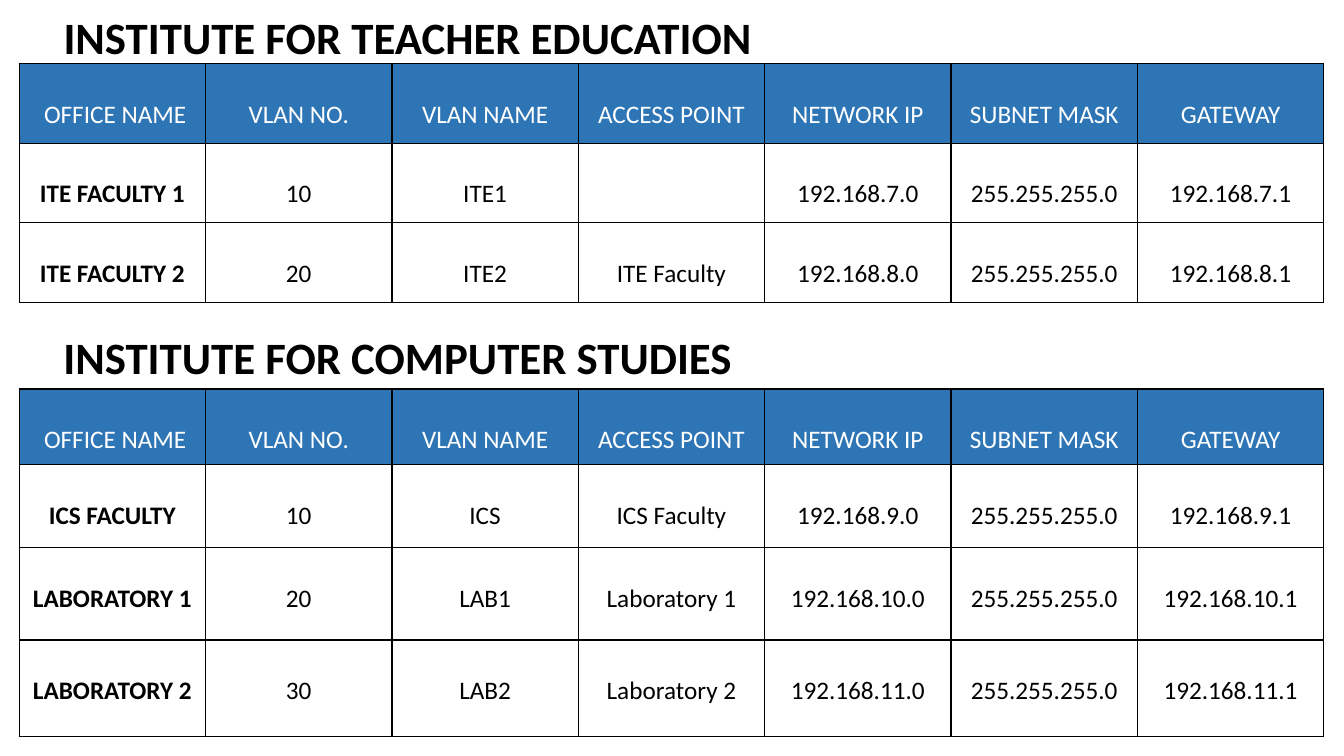
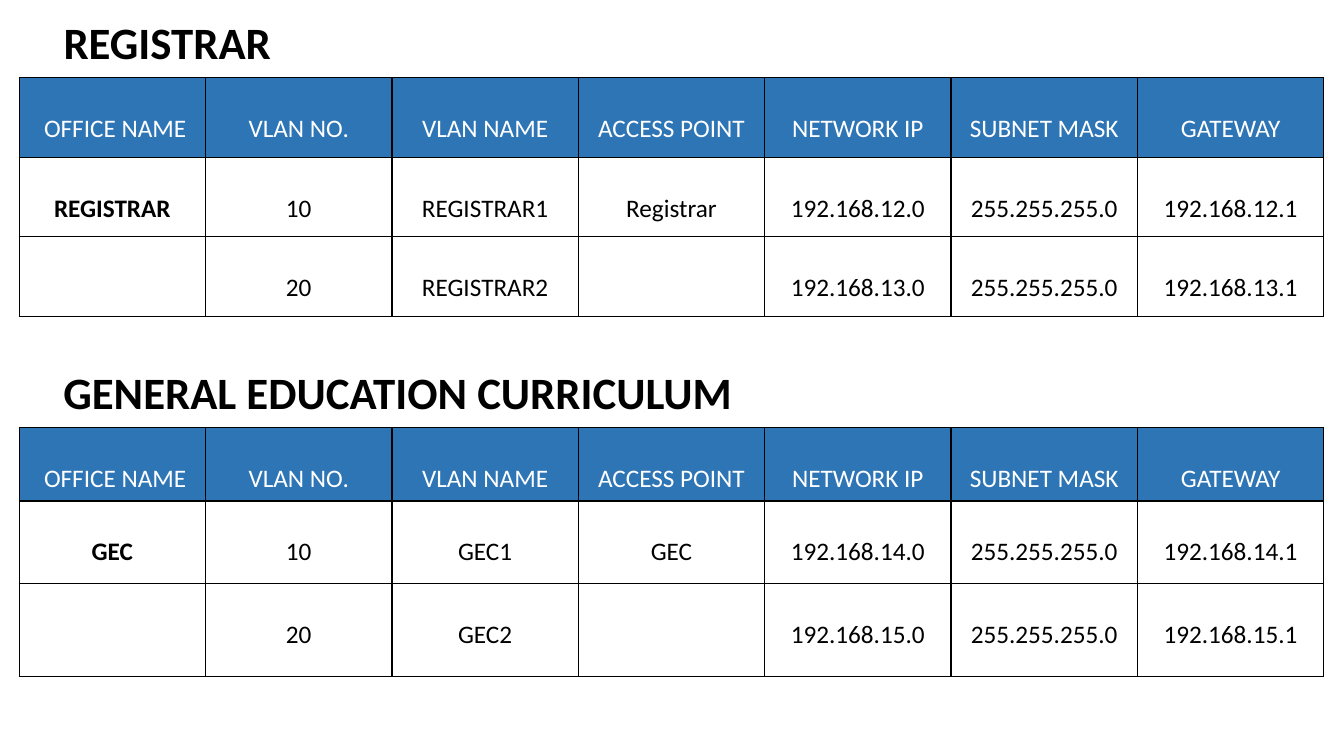
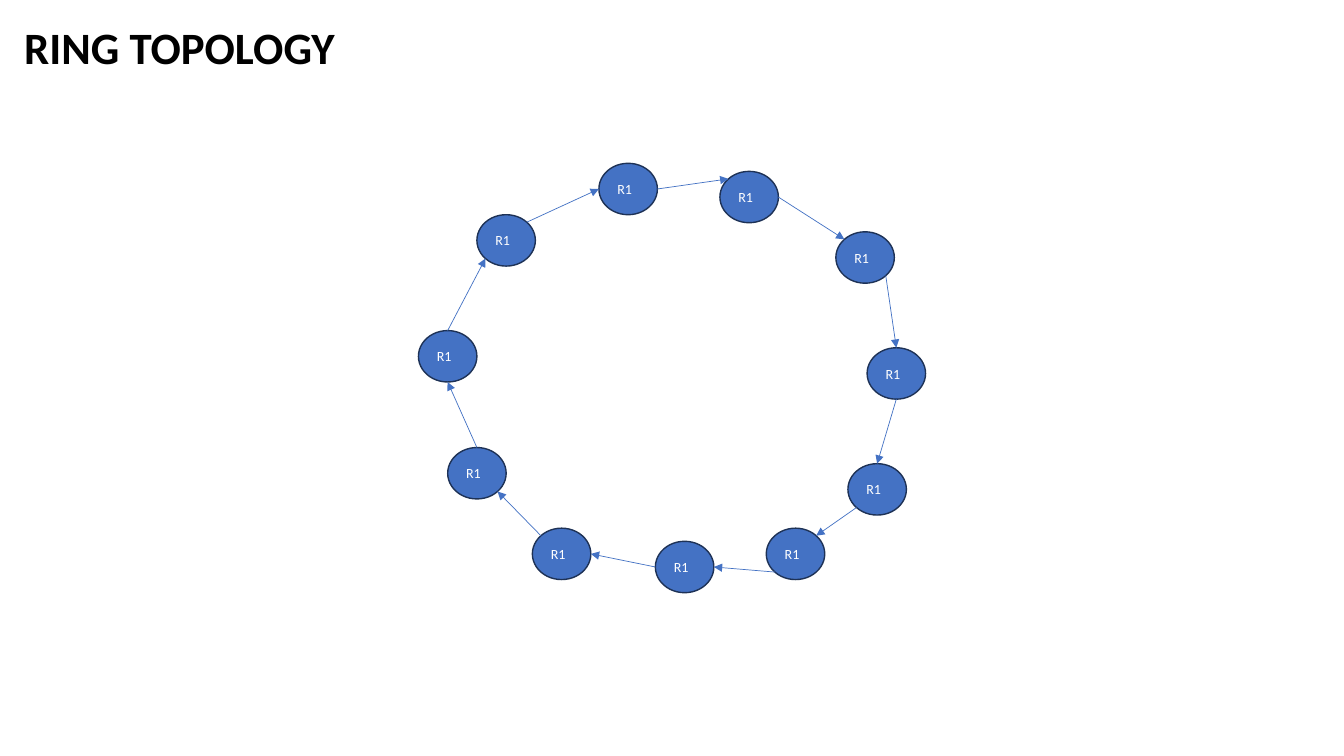
"""Build a three-slide deck of campus VLAN tables and a ring topology."""
from math import cos, radians, sin

from lxml import etree
from pptx import Presentation
from pptx.dml.color import RGBColor
from pptx.enum.shapes import MSO_CONNECTOR, MSO_SHAPE
from pptx.enum.text import MSO_ANCHOR, MSO_AUTO_SIZE, PP_ALIGN
from pptx.oxml.ns import qn
from pptx.util import Inches, Pt

STRAIGHT, OVAL = MSO_CONNECTOR.STRAIGHT, MSO_SHAPE.OVAL
TOP, MIDDLE = MSO_ANCHOR.TOP, MSO_ANCHOR.MIDDLE
LEFT, CENTER = PP_ALIGN.LEFT, PP_ALIGN.CENTER
GROW = MSO_AUTO_SIZE.SHAPE_TO_FIT_TEXT

THEME = {
    "font": "Calibri", "title_size": 32, "cell_size": 18, "node_size": 10,
    "ink": "000000", "paper": "FFFFFF", "header": "2E75B6",
    "node": "4472C4", "node_edge": "1E3256",
    "border": 1, "edge": 1, "arrow": 0.5,
}
SLIDE_WIDTH, SLIDE_HEIGHT = 13.33, 7.5
TABLE_LEFT, TABLE_WIDTH = 0.19, 12.94
HEADING_LEFT, HEADING_WIDTH, HEADING_HEIGHT = 0.53, 7.32, 0.64
NODE_WIDTH, NODE_HEIGHT = 0.58, 0.51

COLUMNS = (" OFFICE NAME", "VLAN NO.", "VLAN NAME", "ACCESS POINT",
           "NETWORK IP", "SUBNET MASK", "GATEWAY")
MASK = "255.255.255.0"

TABLE_PAGES = [
    [
        {"heading": "INSTITUTE FOR TEACHER EDUCATION", "heading_top": 0.05,
         "top": 0.63, "heights": (0.79, 0.79, 0.79), "first_subnet": 7,
         "offices": [("ITE FACULTY 1", "ITE1", ""),
                     ("ITE FACULTY 2", "ITE2", "ITE Faculty")]},
        {"heading": "INSTITUTE FOR COMPUTER STUDIES", "heading_top": 3.22,
         "top": 3.86, "heights": (0.75, 0.82, 0.92, 0.96), "first_subnet": 9,
         "offices": [("ICS FACULTY", "ICS", "ICS Faculty"),
                     ("LABORATORY 1", "LAB1", "Laboratory 1"),
                     ("LABORATORY 2", "LAB2", "Laboratory 2")]},
    ],
    [
        {"heading": "REGISTRAR", "heading_top": 0.1,
         "top": 0.77, "heights": (0.79, 0.79, 0.79), "first_subnet": 12,
         "offices": [("REGISTRAR", "REGISTRAR1", "Registrar"),
                     ("", "REGISTRAR2", "")]},
        {"heading": "GENERAL EDUCATION CURRICULUM", "heading_top": 3.57,
         "top": 4.24, "heights": (0.73, 0.82, 0.92), "first_subnet": 14,
         "offices": [("GEC", "GEC1", "GEC"), ("", "GEC2", "")]},
    ],
]

RING_TITLE = "RING TOPOLOGY"
NODE_LABEL = "R1"
COMPASS = {"E": 0, "SE": 45, "S": 90, "SW": 135, "W": 180, "NW": 225, "N": 270, "NE": 315}
RING = [
    (4.73, 2.13, "SW", "NE"), (5.94, 1.62, "W", "E"), (7.14, 1.7, "NW", "E"),
    (8.29, 2.3, "NW", "SE"), (8.6, 3.45, "N", "S"), (8.41, 4.6, "N", "SW"),
    (7.6, 5.24, "NE", "SW"), (6.5, 5.37, "E", "W"), (5.28, 5.24, "E", "NW"),
    (4.44, 4.44, "SE", "N"), (4.15, 3.28, "S", "N"),
]


def color(name):
    return RGBColor.from_string(THEME[name])


def style_text(para, size, ink, bold=False, align=LEFT):
    para.alignment = align
    for span in para.runs:
        span.font.name = THEME["font"]
        span.font.size = Pt(THEME[size])
        span.font.color.rgb = color(ink)
        span.font.bold = bold


def write_heading(box, text, left, top, width):
    box.left, box.top = Inches(left), Inches(top)
    box.width, box.height = Inches(width), Inches(HEADING_HEIGHT)
    frame = box.text_frame
    frame.text = text
    frame.word_wrap = True
    frame.auto_size = GROW
    frame.vertical_anchor = TOP
    style_text(frame.paragraphs[0], "title_size", "ink", bold=True)


def add_borders(cell):
    properties = cell._tc.get_or_add_tcPr()
    for side in ("a:lnL", "a:lnR", "a:lnT", "a:lnB"):
        line = etree.SubElement(properties, qn(side), w=str(Pt(THEME["border"])))
        fill = etree.SubElement(line, qn("a:solidFill"))
        etree.SubElement(fill, qn("a:srgbClr"), val=THEME["ink"])


def vlan_rows(section):
    rows = [COLUMNS]
    for index, (office, vlan, access_point) in enumerate(section["offices"]):
        subnet = f"192.168.{section['first_subnet'] + index}"
        rows.append((office, str(10 * (index + 1)), vlan, access_point,
                     f"{subnet}.0", MASK, f"{subnet}.1"))
    return rows


def add_vlan_table(page, section):
    rows, heights = vlan_rows(section), section["heights"]
    table = page.shapes.add_table(
        len(rows), len(COLUMNS), Inches(TABLE_LEFT), Inches(section["top"]),
        Inches(TABLE_WIDTH), Inches(sum(heights))).table
    table.horz_banding = False
    for column in table.columns:
        column.width = Inches(TABLE_WIDTH / len(COLUMNS))
    for row_index, values in enumerate(rows):
        table.rows[row_index].height = Inches(heights[row_index])
        is_header = row_index == 0
        for column_index, value in enumerate(values):
            cell = table.cell(row_index, column_index)
            add_borders(cell)
            if is_header:
                cell.fill.solid()
                cell.fill.fore_color.rgb = color("header")
            else:
                cell.fill.background()
            if value:
                cell.text_frame.text = value
                para = cell.text_frame.paragraphs[0]
                para.line_spacing = 2.0
                style_text(para, "cell_size", "paper" if is_header else "ink",
                           bold=not is_header and column_index == 0, align=CENTER)


def add_node(group, left, top):
    node = group.shapes.add_shape(OVAL, Inches(left), Inches(top),
                                  Inches(NODE_WIDTH), Inches(NODE_HEIGHT))
    node.shadow.inherit = False
    node.fill.solid()
    node.fill.fore_color.rgb = color("node")
    node.line.color.rgb = color("node_edge")
    node.line.width = Pt(THEME["edge"])
    node.text_frame.text = NODE_LABEL
    node.text_frame.vertical_anchor = MIDDLE
    style_text(node.text_frame.paragraphs[0], "node_size", "paper")


def rim_point(left, top, side):
    angle = radians(COMPASS[side])
    return (Inches(left + NODE_WIDTH / 2 * (1 + cos(angle))),
            Inches(top + NODE_HEIGHT / 2 * (1 + sin(angle))))


def add_arrow(page, start, end):
    arrow = page.shapes.add_connector(STRAIGHT, *start, *end)
    arrow.line.color.rgb = color("node")
    arrow.line.width = Pt(THEME["arrow"])
    etree.SubElement(arrow.line._get_or_add_ln(), qn("a:tailEnd"), type="triangle")
    etree.SubElement(arrow._element.spPr, qn("a:effectLst"))


def add_ring(page):
    group = page.shapes.add_group_shape()
    for left, top, _, _ in RING:
        add_node(group, left, top)
    for source, target in zip(RING, RING[1:] + RING[:1]):
        add_arrow(page, rim_point(*source[:2], source[3]), rim_point(*target[:3]))


def main():
    deck = Presentation()
    deck.slide_width, deck.slide_height = Inches(SLIDE_WIDTH), Inches(SLIDE_HEIGHT)
    title_only = deck.slide_layouts[5]
    for sections in TABLE_PAGES:
        page = deck.slides.add_slide(title_only)
        for index, section in enumerate(sections):
            add_vlan_table(page, section)
            box = page.shapes.add_textbox(0, 0, 0, 0) if index else page.shapes.title
            write_heading(box, section["heading"], HEADING_LEFT,
                          section["heading_top"], HEADING_WIDTH)
    page = deck.slides.add_slide(title_only)
    add_ring(page)
    write_heading(page.shapes.title, RING_TITLE, 0.14, 0.15, 3.61)
    deck.save("out.pptx")


if __name__ == "__main__":
    main()
